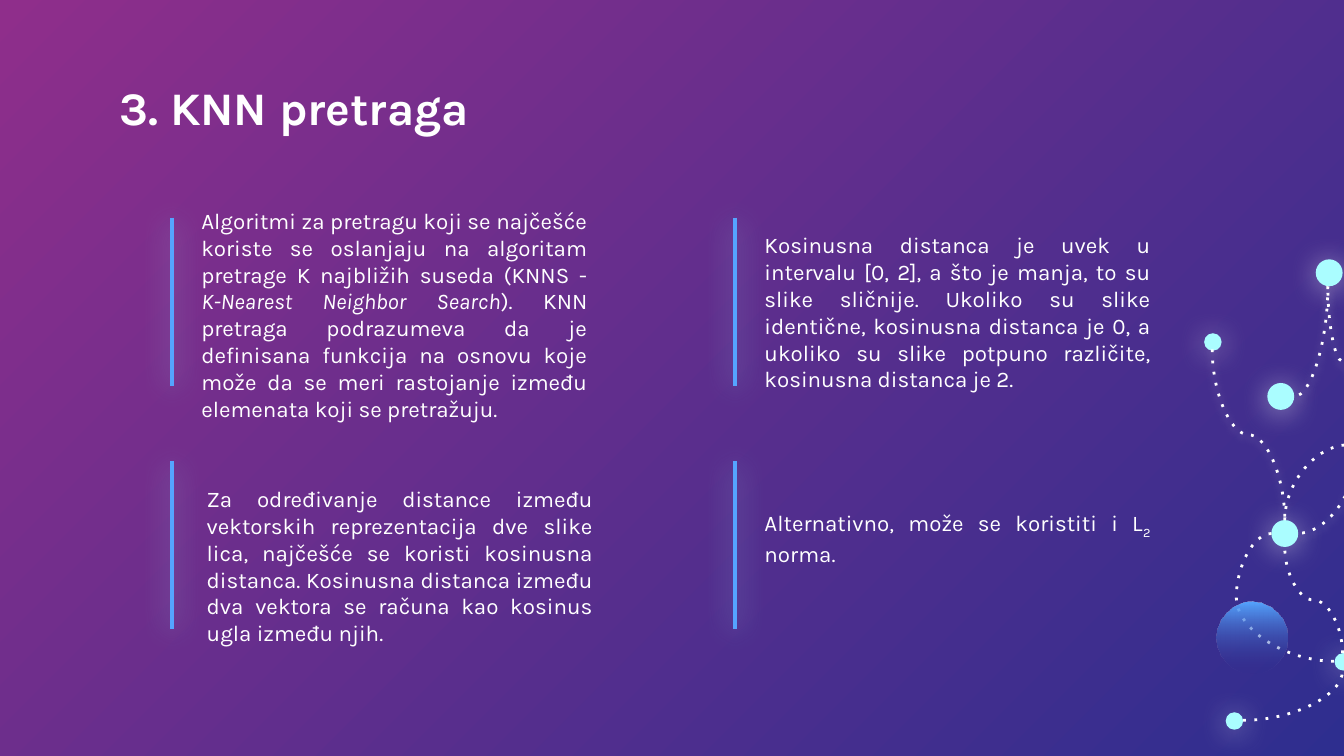
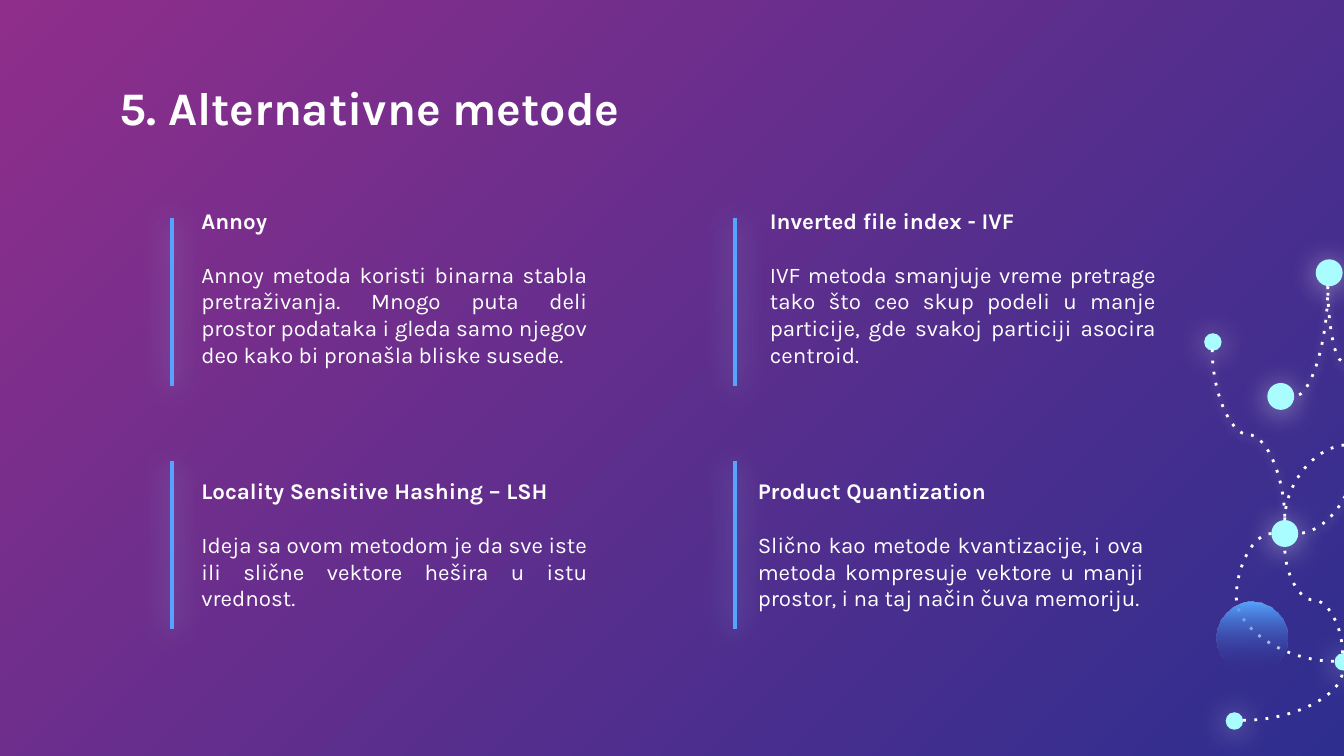
from itertools import product
from lxml.etree import SubElement
from pptx import Presentation
from pptx.dml.color import RGBColor
from pptx.enum.dml import MSO_LINE
from pptx.enum.shapes import MSO_CONNECTOR, MSO_SHAPE
from pptx.enum.text import MSO_ANCHOR, PP_ALIGN
from pptx.oxml.ns import qn
from pptx.util import Inches, Pt

WHITE = RGBColor(0xFF, 0xFF, 0xFF)
PURPLE = RGBColor(0x8F, 0x2E, 0x8B)
NAVY = RGBColor(0x2E, 0x2E, 0x8F)
BLUE = RGBColor(0x55, 0xA4, 0xFF)
CYAN = RGBColor(0xAA, 0xFD, 0xFF)
FONT = "Karla"

SLIDES = [
    ("3. KNN pretraga", [
        (1.4, 1.44, 1.74, [[
            ("Algoritmi za pretragu koji se najčešće koriste se oslanjaju na algoritam "
             "pretrage K najbližih suseda (KNNS - ", ""),
            ("K-Nearest Neighbor Search", "italic"),
            ("). KNN pretraga podrazumeva da je definisana funkcija na osnovu koje može "
             "da se meri rastojanje između elemenata koji se pretražuju.", ""),
        ]]),
        (1.44, 3.51, 1.04, [[
            ("Za određivanje distance između vektorskih reprezentacija dve slike lica, "
             "najčešće se koristi kosinusna distanca. Kosinusna distanca između dva "
             "vektora se računa kao kosinus ugla između njih.", ""),
        ]]),
        (5.59, 1.62, 1.04, [[
            ("Kosinusna distanca je uvek u intervalu [0, 2], a što je manja, to su slike "
             "sličnije. Ukoliko su slike identične, kosinusna distanca je 0, a ukoliko su "
             "slike potpuno različite, kosinusna distanca je 2.", ""),
        ]]),
        (5.59, 3.69, 1.04, [[
            ("Alternativno, može se koristiti i L", ""), ("2", "sub"), (" norma.", ""),
        ]]),
    ]),
    ("5. Alternativne metode", [
        (1.4, 1.44, 1.74, [
            [("Annoy", "bold")],
            [("Annoy metoda koristi binarna stabla pretraživanja. Mnogo puta deli "
              "prostor podataka i gleda samo njegov deo kako bi pronašla bliske susede.", "")],
        ]),
        (5.63, 1.44, 1.04, [
            [("Inverted file index - IVF", "bold")],
            [("IVF metoda smanjuje vreme pretrage tako što ceo skup podeli u manje "
              "particije, gde svakoj particiji asocira centroid.", "")],
        ]),
        (1.4, 3.45, 1.04, [
            [("Locality Sensitive Hashing – LSH", "bold")],
            [("Ideja sa ovom metodom je da sve iste ili slične vektore hešira u istu "
              "vrednost.", "")],
        ]),
        (5.54, 3.45, 1.04, [
            [("Product Quantization", "bold")],
            [("Slično kao metode kvantizacije, i ova metoda kompresuje vektore u manji "
              "prostor, i na taj način čuva memoriju.", "")],
        ]),
    ]),
]

DOTS = [
    (9.43, 2.85, 0.2), (9.46, 3.87, 0.2), (8.96, 2.48, 0.13),
    (9.79, 1.93, 0.2), (9.93, 4.86, 0.13), (9.12, 5.3, 0.13),
]
CURVES = [
    dict(start=(9.56, 3.87), end=(10.03, 3.31), bends=2, turn=270),
    dict(start=(9.02, 2.6), end=(9.56, 3.87), turn=270, flip=True, blur=4.5),
    dict(start=(10.09, 3.24), end=(9.88, 2.13), turn=90, flip=True, blur=4.5),
    dict(start=(10.09, 3.37), end=(9.65, 3.97), bends=2, turn=90, blur=4.5),
    dict(start=(9.88, 2.13), end=(9.63, 2.95), bends=2, turn=90, blur=4.5),
    dict(start=(9.46, 3.97), end=(9.93, 4.92), adjust=-55500),
    dict(start=(9.25, 5.36), end=(9.99, 4.99), bends=2, turn=180, flip=True),
    dict(start=(9.99, 4.86), end=(9.56, 4.07), turn=90, flip=True),
]
GLOBE = (9.05, 4.48, 0.53)
BAR_X, BAR_Y, BAR_LEN = (1.28, 5.47), (1.62, 3.43), 1.25


def add_glow(part, color=None, blur=0):
    effects = SubElement(part._element.spPr, qn("a:effectLst"))
    if color is not None and blur:
        shade = SubElement(effects, qn("a:outerShdw"), blurRad=str(Pt(blur)),
                           dist=str(Pt(1.5)), dir="5400000", algn="bl", rotWithShape="0")
        tint = SubElement(shade, qn("a:srgbClr"), val=str(color))
        SubElement(tint, qn("a:alpha"), val="50000")


def add_blend(fill, first, last, angle):
    fill.gradient()
    fill.gradient_angle = 360 - angle
    for stop, color in zip(fill.gradient_stops, (first, last)):
        stop.color.rgb = color


def add_text(slide, paras, left, top, width, height, size=12, align=PP_ALIGN.JUSTIFY):
    box = slide.shapes.add_textbox(*map(Inches, (left, top, width, height)))
    frame = box.text_frame
    frame.word_wrap = True
    frame.vertical_anchor = MSO_ANCHOR.TOP
    frame.margin_left = frame.margin_right = Inches(0.1)
    frame.margin_top = frame.margin_bottom = Inches(0.1)
    for row, runs in enumerate(paras):
        para = frame.paragraphs[0] if row == 0 else frame.add_paragraph()
        para.alignment = align
        if row < len(paras) - 1:
            para.space_after = Pt(size * 1.2)
        for text, style in runs:
            run = para.add_run()
            run.text = text
            font = run.font
            font.name, font.size = FONT, Pt(size)
            font.color.rgb = WHITE
            font.bold = style == "bold"
            font.italic = style == "italic"
            if style == "sub":
                run._r.get_or_add_rPr().set("baseline", "-25000")


def add_disc(slide, left, top, size):
    disc = slide.shapes.add_shape(MSO_SHAPE.OVAL, *map(Inches, (left, top, size, size)))
    disc.line.fill.background()
    return disc


def add_curve(slide, start, end, bends=3, turn=0, flip=False, adjust=50000, blur=0):
    (x1, y1), (x2, y2) = start, end
    width, height = abs(x2 - x1), abs(y2 - y1)
    if turn in (90, 270):
        width, height = height, width
    left, top = (x1 + x2 - width) / 2, (y1 + y2 - height) / 2
    right = left + width
    if flip:
        left, right = right, left
    curve = slide.shapes.add_connector(
        MSO_CONNECTOR.CURVE, *map(Inches, (left, top, right, top + height)))
    curve.line.color.rgb = WHITE
    curve.line.width = Pt(1.5)
    curve.line.dash_style = MSO_LINE.ROUND_DOT
    props = curve._element.spPr
    props.find(".//" + qn("a:prstDash")).set("val", "dot")
    props.find(qn("a:xfrm")).set("rot", str(turn * 60000))
    shape = props.find(qn("a:prstGeom"))
    shape.set("prst", f"curvedConnector{bends}")
    if bends == 3:
        SubElement(shape.find(qn("a:avLst")), qn("a:gd"), name="adj1", fmla=f"val {adjust}")
    add_glow(curve, WHITE, blur)


def add_decor(slide):
    add_blend(slide.background.fill, PURPLE, NAVY, 45)
    for place in DOTS:
        dot = add_disc(slide, *place)
        dot.fill.solid()
        dot.fill.fore_color.rgb = CYAN
        add_glow(dot, WHITE, 15.8)
    for curve in CURVES:
        add_curve(slide, **curve)
    globe = add_disc(slide, *GLOBE)
    add_blend(globe.fill, BLUE, NAVY, 90)
    fade = globe._element.spPr.findall(".//" + qn("a:srgbClr"))[-1]
    SubElement(fade, qn("a:alpha"), val="0")
    add_glow(globe)


def add_bars(slide):
    for y, x in product(BAR_Y, BAR_X):
        bar = slide.shapes.add_connector(
            MSO_CONNECTOR.STRAIGHT, *map(Inches, (x, y, x, y + BAR_LEN)))
        bar.line.color.rgb = BLUE
        bar.line.width = Pt(2.25)
        add_glow(bar, CYAN, 15.8)


def main():
    deck = Presentation()
    deck.slide_width, deck.slide_height = Inches(10), Inches(5.625)
    for title, blocks in SLIDES:
        slide = deck.slides.add_slide(deck.slide_layouts[6])
        add_decor(slide)
        add_text(slide, [[(title, "bold")]], 0.79, 0.49, 8.43, 0.63,
                 size=25, align=PP_ALIGN.LEFT)
        for left, top, height, paras in blocks:
            add_text(slide, paras, left, top, 3.07, height)
        add_bars(slide)
    deck.save("out.pptx")


if __name__ == "__main__":
    main()
